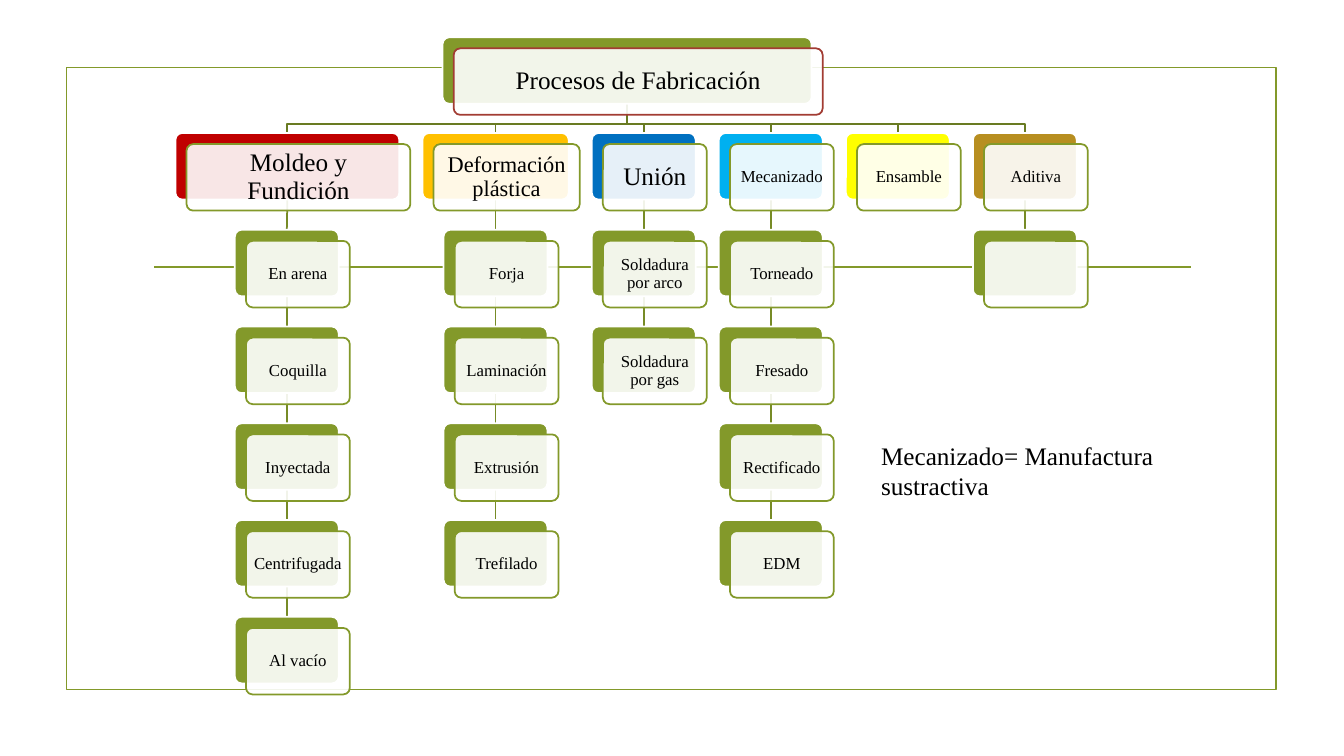
from lxml import etree
from pptx import Presentation
from pptx.dml.color import RGBColor
from pptx.enum.shapes import MSO_CONNECTOR, MSO_SHAPE
from pptx.enum.text import MSO_ANCHOR, PP_ALIGN
from pptx.oxml.ns import qn
from pptx.util import Pt

RECT, ROUND = MSO_SHAPE.RECTANGLE, MSO_SHAPE.ROUNDED_RECTANGLE
STRAIGHT = MSO_CONNECTOR.STRAIGHT
MIDDLE, TOP = MSO_ANCHOR.MIDDLE, MSO_ANCHOR.TOP
CENTER, LEFT = PP_ALIGN.CENTER, PP_ALIGN.LEFT
PX = 9144  # 100 px to the inch

GREEN, STEM, BRANCH = "83992A", "778B26", "697B22"
RED, WHITE, BLACK = "A23C33", "FFFFFF", "000000"

CARD_W, CARD_H, SHIFT = 103, 66, 11
ROW_TOP, ROW_STEP, GAP = 132, 96, 23
ROOT_X, ROOT_Y, ROOT_W = 439, 37, 366
BUS_Y = 123

# title, width, font size, colour, steps below
GROUPS = [
    ("Moldeo y Fundición", 222, 18, "C00000",
     ["En arena", "Coquilla", "Inyectada", "Centrifugada", "Al vacío"]),
    ("Deformación plástica", 145, 16, "FFC000",
     ["Forja", "Laminación", "Extrusión", "Trefilado"]),
    ("Unión", CARD_W, 18, "0070C0", ["Soldadura por arco", "Soldadura por gas"]),
    ("Mecanizado", CARD_W, 12, "00B0F0",
     ["Torneado", "Fresado", "Rectificado", "EDM"]),
    ("Ensamble", CARD_W, 12, "FFFF00", []),
    ("Aditiva", CARD_W, 12, "B78E20", [""]),
]


def rgb(code):
    return RGBColor.from_string(code)


class Chart:
    """Holds the slide and the style of its cards, wires and text."""

    def __init__(self, slide, font="Times New Roman", weight=1.25):
        self.shapes = slide.shapes
        self.font, self.weight = font, weight
        self.floor = None

    def stroke(self, item, color):
        item.line.color.rgb = rgb(color)
        item.line.width = Pt(self.weight)

    def box(self, kind, x, y, w, h, line, fill=None, alpha=None):
        item = self.shapes.add_shape(kind, x * PX, y * PX, w * PX, h * PX)
        item.shadow.inherit = False
        self.stroke(item, line)
        if kind == ROUND:
            item.adjustments[0] = 0.1
        if fill is None:
            item.fill.background()
        else:
            item.fill.solid()
            item.fill.fore_color.rgb = rgb(fill)
        if alpha is not None:
            color = item.element.spPr.find(qn("a:solidFill")).find(qn("a:srgbClr"))
            etree.SubElement(color, qn("a:alpha")).set("val", str(alpha * 1000))
        return item

    def label(self, item, text, size, inset, anchor=MIDDLE, align=CENTER, space=0.9):
        frame = item.text_frame
        frame.word_wrap = True
        frame.vertical_anchor = anchor
        frame.margin_left = frame.margin_right = inset * PX
        frame.margin_top = frame.margin_bottom = 5 * PX
        line = frame.paragraphs[0]
        line.text = text
        line.alignment, line.line_spacing = align, space
        line.font.name, line.font.size = self.font, Pt(size)
        line.font.color.rgb = rgb(BLACK)

    def card(self, text, x, y, w=CARD_W, size=12, fill=GREEN, edge=GREEN):
        """Draw a coloured plate under a shifted pale face; return the plate."""
        plate = self.box(ROUND, x, y, w, CARD_H, WHITE, fill)
        face = self.box(ROUND, x + SHIFT, y + SHIFT, w, CARD_H, edge, WHITE, 90)
        if text:
            self.label(face, text, size, 5 if size == 12 else 8)
        return plate

    def note(self, text, x, y, w, h, size):
        item = self.shapes.add_textbox(x * PX, y * PX, w * PX, h * PX)
        self.label(item, text, size, 10, TOP, LEFT, 1.0)

    def rule(self, x1, y1, x2, y2, color):
        item = self.shapes.add_connector(STRAIGHT, x1 * PX, y1 * PX, x2 * PX, y2 * PX)
        self.stroke(item, color)
        etree.SubElement(item.element.spPr, qn("a:effectLst"))
        return item

    def mark(self):
        """Set the layer on which wires are laid, under all later cards."""
        self.floor = len(self.shapes[0].element.getparent())

    def sink(self, item):
        item.element.getparent().insert(self.floor, item.element)

    def stem(self, upper, lower):
        item = self.rule(0, 0, 0, 0, STEM)
        item.begin_connect(upper, 2)
        item.end_connect(lower, 0)
        self.sink(item)

    def branch(self, upper, lower):
        """Lay a bent wire from a plate's foot to a lower plate's head."""
        start = upper.left + upper.width // 2
        end = lower.left + lower.width // 2
        wire = self.shapes.build_freeform(start, upper.top + upper.height)
        wire.add_line_segments(
            [(start, BUS_Y * PX), (end, BUS_Y * PX), (end, lower.top)], close=False)
        item = wire.convert_to_shape()
        item.shadow.inherit = False
        item.fill.background()
        self.stroke(item, BRANCH)
        self.sink(item)


def main():
    deck = Presentation()
    deck.slide_width, deck.slide_height = 1333 * PX, 750 * PX
    chart = Chart(deck.slides.add_slide(deck.slide_layouts[6]))

    chart.box(RECT, 66, 67, 1200, 617, GREEN)
    chart.rule(153, 265, 1181, 265, GREEN)
    chart.mark()

    root = chart.card("Procesos de Fabricación", ROOT_X, ROOT_Y, ROOT_W, 18, edge=RED)
    x = 174
    for title, width, size, color, steps in GROUPS:
        above = chart.card(title, x, ROW_TOP, width, size, color)
        chart.branch(root, above)
        left = x + (width - CARD_W) // 2
        for row, step in enumerate(steps, 1):
            below = chart.card(step, left, ROW_TOP + row * ROW_STEP)
            chart.stem(above, below)
            above = below
        x += width + GAP

    chart.note("Mecanizado= Manufactura sustractiva", 864, 432, 393, 70, 18)
    deck.save("out.pptx")


if __name__ == "__main__":
    main()
